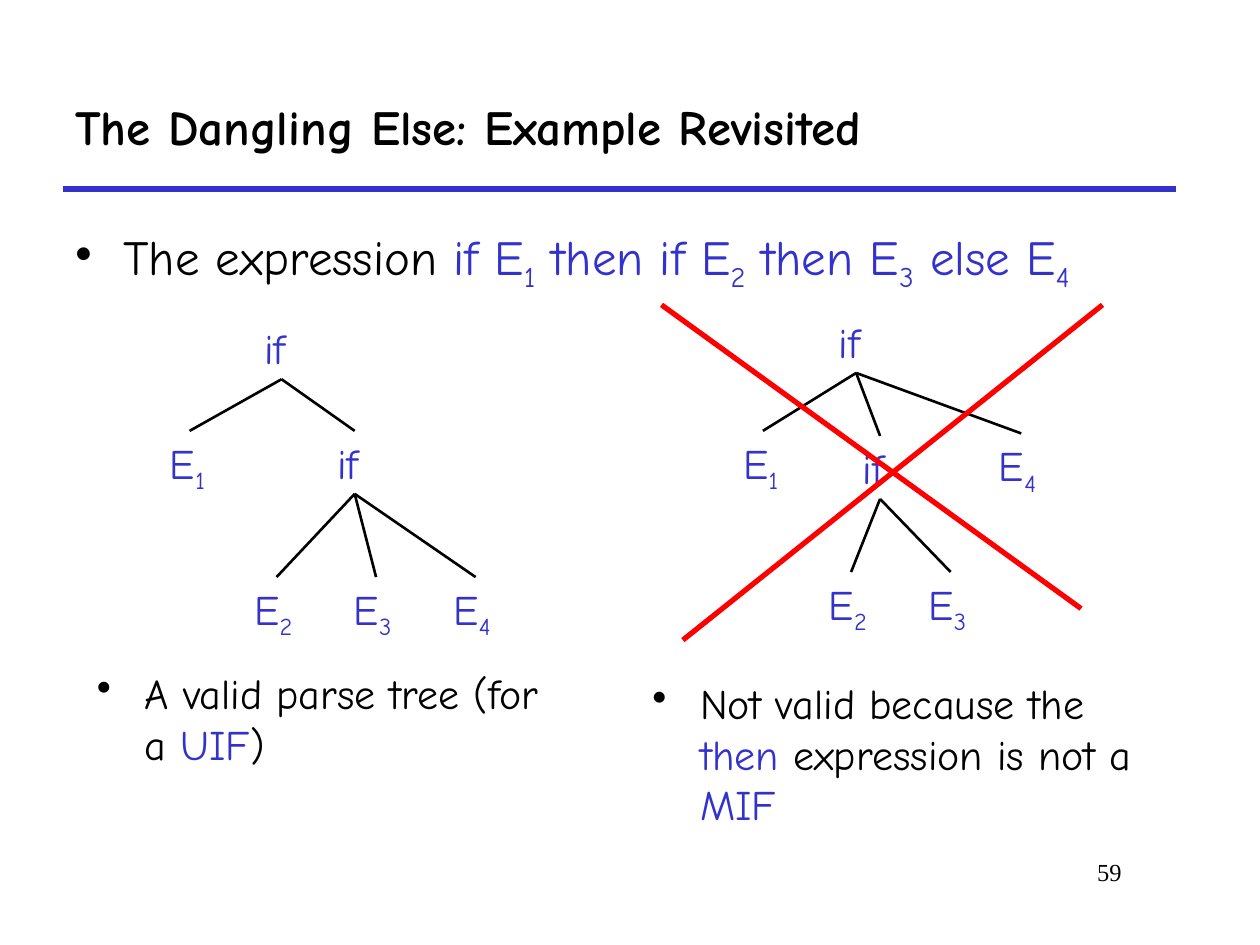
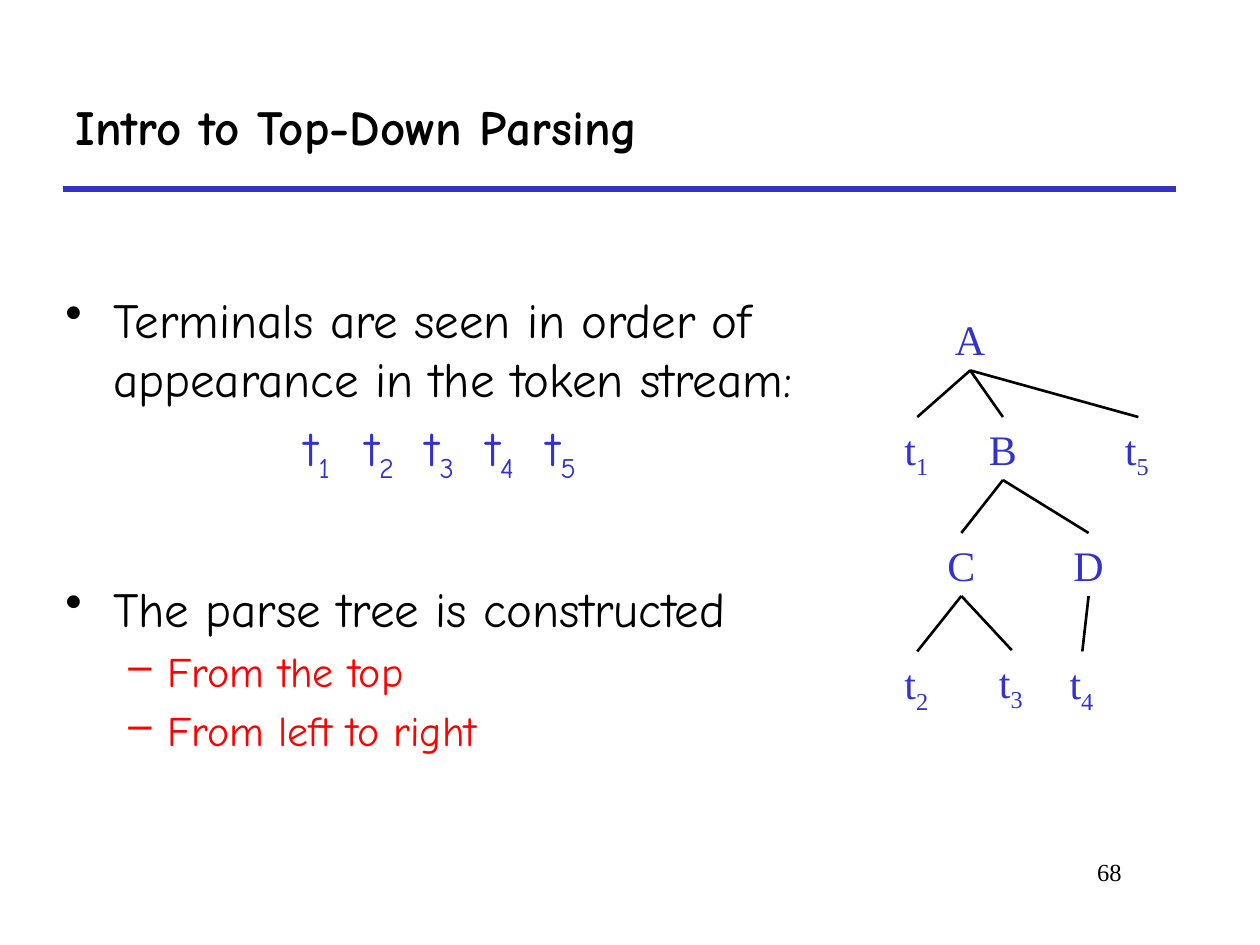
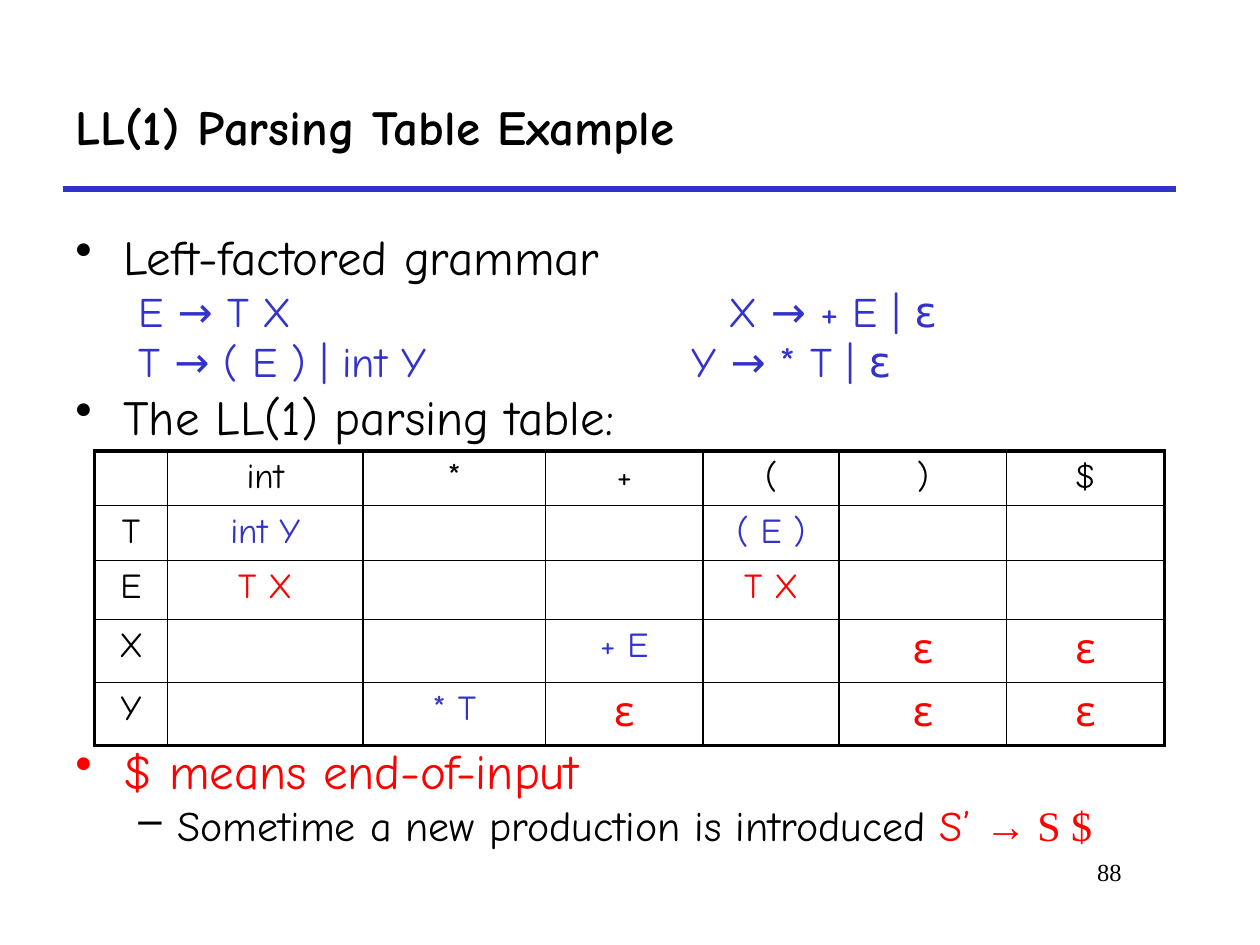
import pptx
import pptx.dml.color
import pptx.enum.shapes
import pptx.enum.text
import pptx.oxml
import pptx.oxml.ns
import pptx.util
from pptx.util import Inches

RGBColor = pptx.dml.color.RGBColor
BLACK = RGBColor(0x00, 0x00, 0x00)
BLUE = RGBColor(0x33, 0x33, 0xCC)
RED = RGBColor(0xFF, 0x00, 0x00)
COMIC = "Comic Neue"
TIMES = "Times New Roman"
ALIGN = pptx.enum.text.PP_ALIGN
ANCHOR = pptx.enum.text.MSO_ANCHOR
NODE_HEIGHT = 0.5
EPSILON = "ε"


def add_child(parent, tag, **attrs):
    """Append a DrawingML element with the given attributes."""
    child = pptx.oxml.parse_xml(f"<a:{tag} {pptx.oxml.ns.nsdecls('a')}/>")
    for name, value in attrs.items():
        child.set(name, str(value))
    parent.append(child)
    return child


def add_text(p, text, size=28, color=BLACK, font=COMIC, bold=False):
    """Add formatted runs, lowering each character that follows an underscore."""
    first, *rest = text.split("_")
    pieces = [(first, False)]
    for piece in rest:
        pieces += [(piece[0], True), (piece[1:], False)]
    for piece, lowered in pieces:
        if piece:
            r = p.add_run()
            r.text = piece
            r.font.size = pptx.util.Pt(size)
            r.font.name = font
            r.font.bold = bold
            r.font.color.rgb = color
            if lowered:
                r._r.get_or_add_rPr().set("baseline", "-25000")


def add_box(slide, x, y, w, h, wrap=True):
    """Add an empty text box."""
    sp = slide.shapes.add_textbox(Inches(x), Inches(y), Inches(w), Inches(h))
    sp.text_frame.word_wrap = wrap
    return sp


def add_paragraph(tf, *runs, bullet=None, size=28, before=0, tabs=()):
    """Add a paragraph of (text, format) runs, with a hanging bullet or tab stops."""
    p = tf.paragraphs[0]
    if p.runs:
        p = tf.add_paragraph()
        p.space_before = pptx.util.Pt(before)
    pPr = p._p.get_or_add_pPr()
    if bullet:
        margin, hang = (0.38, 0.38) if bullet == "•" else (0.81, 0.31)
        pPr.set("marL", str(Inches(margin)))
        pPr.set("indent", str(-Inches(hang)))
        add_child(pPr, "buChar", char=bullet)
    if tabs:
        stops = add_child(pPr, "tabLst")
        for tab in tabs:
            add_child(stops, "tab", pos=Inches(tab), algn="l")
    for text, style in runs:
        add_text(p, text, size=size, **style)


def add_line(slide, x1, y1, x2, y2, color=BLACK, width=1.5):
    """Add a straight line without shadow."""
    line = slide.shapes.add_connector(
        pptx.enum.shapes.MSO_CONNECTOR.STRAIGHT,
        Inches(x1), Inches(y1), Inches(x2), Inches(y2))
    line.line.color.rgb = color
    line.line.width = pptx.util.Pt(width)
    add_child(line._element.spPr, "effectLst")
    return line


def add_tree(slide, node, font=COMIC):
    """Draw a (text, x, y, width, children) node and its subtrees; return its box."""
    text, x, y, w, *children = node
    sp = add_box(slide, x, y, w, NODE_HEIGHT, wrap=False)
    sp.text_frame.auto_size = pptx.enum.text.MSO_AUTO_SIZE.SHAPE_TO_FIT_TEXT
    add_text(sp.text_frame.paragraphs[0], text, size=24, color=BLUE, font=font)
    for child in children:
        child_sp = add_tree(slide, child, font)
        _, cx, cy, cw, *_ = child
        edge = add_line(slide, x + w / 2, y + NODE_HEIGHT, cx + cw / 2, cy)
        edge.begin_connect(sp, 2)
        edge.end_connect(child_sp, 0)
    return sp


def add_slide(prs, title, number):
    """Add a slide with its title, rule and page number."""
    slide = prs.slides.add_slide(prs.slide_layouts[6])
    add_line(slide, 0.5, 1.5, 9.33, 1.5, color=BLUE, width=3)
    tf = add_box(slide, 0.5, 0.5, 8.83, 1).text_frame
    tf.vertical_anchor = ANCHOR.MIDDLE
    add_text(tf.paragraphs[0], title, bold=True)
    p = add_box(slide, 7.58, 6.75, 1.42, 0.5).text_frame.paragraphs[0]
    p.alignment = ALIGN.RIGHT
    add_text(p, str(number), size=14, font=TIMES)
    return slide


def add_borders(cell, **widths):
    """Set black borders of the given widths on the sides L, R, T and B."""
    tcPr = cell._tc.get_or_add_tcPr()
    for side, width in widths.items():
        ln = add_child(tcPr, "ln" + side, w=pptx.util.Pt(width))
        add_child(add_child(ln, "solidFill"), "srgbClr", val=BLACK)


def add_parsing_table(slide, x, y, widths, heights, rows):
    """Add the parsing table with a thick frame and thin inner borders."""
    last_row, last_col = len(rows) - 1, len(widths) - 1
    table = slide.shapes.add_table(
        len(rows), len(widths), Inches(x), Inches(y),
        Inches(sum(widths)), Inches(sum(heights))).table
    table.first_row = table.horz_banding = False
    for col, width in zip(table.columns, widths):
        col.width = Inches(width)
    for row, height in zip(table.rows, heights):
        row.height = Inches(height)
    for i, row in enumerate(rows):
        for j, text in enumerate(row):
            cell = table.cell(i, j)
            edges = {"L": j == 0, "R": j == last_col, "T": i == 0, "B": i == last_row}
            add_borders(cell, **{s: 2.25 if outer else 1 for s, outer in edges.items()})
            cell.fill.background()
            if i == 0 or j == 0:
                color = BLACK
            else:
                color = RED if text == EPSILON or row[0] == "E" else BLUE
            p = cell.text_frame.paragraphs[0]
            p.alignment = ALIGN.CENTER
            add_text(p, text, size=24 if text == EPSILON else 20, color=color)


def build_dangling_else(prs):
    """Build the slide that compares two parse trees."""
    slide = add_slide(prs, "The Dangling Else: Example Revisited", 59)
    black, blue = {"color": BLACK}, {"color": BLUE}
    tf = add_box(slide, 0.5, 1.75, 9.08, 0.67).text_frame
    add_paragraph(tf, ("The expression ", black),
                  ("if E_1 then if E_2 then E_3 else E_4", blue), bullet="•")
    add_tree(slide, ("if", 2, 2.51, 0.47,
                     ("E_1", 1.25, 3.42, 0.51),
                     ("if", 2.58, 3.42, 0.47,
                      ("E_2", 1.92, 4.58, 0.55),
                      ("E_3", 2.71, 4.58, 0.55),
                      ("E_4", 3.5, 4.58, 0.55))))
    add_tree(slide, ("if", 6.56, 2.46, 0.47,
                     ("E_1", 5.8, 3.42, 0.51),
                     ("if", 6.75, 3.46, 0.47,
                      ("E_2", 6.48, 4.54, 0.55),
                      ("E_3", 7.27, 4.54, 0.55)),
                     ("E_4", 7.83, 3.44, 0.55)))
    tf = add_box(slide, 5.08, 5.33, 4.17, 1.25).text_frame
    add_paragraph(tf, ("Not valid because the ", black), ("then", blue),
                  (" expression is not a ", black), ("MIF", blue), bullet="•", size=24)
    tf = add_box(slide, 0.67, 5.25, 3.83, 1.17).text_frame
    add_paragraph(tf, ("A valid parse tree (for a ", black), ("UIF", blue),
                  (")", black), bullet="•", size=24)
    add_line(slide, 5.25, 2.42, 8.58, 4.83, color=RED, width=3)
    add_line(slide, 5.42, 5.08, 8.75, 2.42, color=RED, width=3)


def build_top_down(prs):
    """Build the slide that introduces top-down parsing."""
    slide = add_slide(prs, "Intro to Top-Down Parsing", 68)
    tf = add_box(slide, 0.42, 2.25, 6.25, 4.25).text_frame
    add_paragraph(tf, ("Terminals are seen in order of appearance in the token stream:", {}),
                  bullet="•")
    add_paragraph(tf, ("".join(f"\tt_{n}" for n in range(1, 6)), {"color": BLUE}),
                  before=5.6, tabs=[1.9 + 0.48 * n for n in range(5)])
    add_paragraph(tf, ("The parse tree is constructed", {}), bullet="•", before=54)
    for text in ("From the top", "From left to right"):
        add_paragraph(tf, (text, {"color": RED}), bullet="–", size=24, before=4.8)
    add_tree(slide, ("A", 7.48, 2.44, 0.44,
                     ("t_1", 7.08, 3.31, 0.4),
                     ("B", 7.75, 3.31, 0.42,
                      ("C", 7.42, 4.23, 0.42,
                       ("t_2", 7.08, 5.17, 0.4),
                       ("t_3", 7.83, 5.16, 0.4)),
                      ("D", 8.42, 4.23, 0.44,
                       ("t_4", 8.39, 5.17, 0.4))),
                     ("t_5", 8.83, 3.31, 0.41)), font=TIMES)


def build_parsing_table(prs):
    """Build the slide with the grammar and its parsing table."""
    slide = add_slide(prs, "LL(1) Parsing Table Example", 88)
    blue, red = {"color": BLUE}, {"color": RED}
    tf = add_box(slide, 0.5, 1.75, 9.08, 4.83).text_frame
    add_paragraph(tf, ("Left-factored grammar", {}), bullet="•")
    add_paragraph(tf, ("\tE → T X\tX → + E | ε", blue), size=24, tabs=(0.5, 5.18))
    add_paragraph(tf, ("\tT → ( E ) | int Y\tY → * T | ε", blue), size=24, tabs=(0.5, 4.89))
    add_paragraph(tf, ("The LL(1) parsing table:", {}), bullet="•")
    add_paragraph(tf, ("$ means end-of-input", red), bullet="•", before=168.6)
    add_paragraph(tf, ("Sometime a new production is introduced ", {}), ("S’ ", red),
                  ("→ S $", {"color": RED, "font": TIMES}), bullet="–", size=24)
    add_parsing_table(
        slide, 0.75, 3.58,
        widths=(0.58, 1.55, 1.45, 1.25, 1.08, 1.33, 1.25),
        heights=(0.43, 0.43, 0.47, 0.5, 0.5),
        rows=(("", "int", "*", "+", "(", ")", "$"),
              ("T", "int Y", "", "", "( E )", "", ""),
              ("E", "T X", "", "", "T X", "", ""),
              ("X", "", "", "+ E", "", EPSILON, EPSILON),
              ("Y", "", "* T", EPSILON, "", EPSILON, EPSILON)))


def main():
    """Build and save the presentation."""
    prs = pptx.Presentation()
    prs.slide_width, prs.slide_height = Inches(10), Inches(7.5)
    build_dangling_else(prs)
    build_top_down(prs)
    build_parsing_table(prs)
    prs.save("out.pptx")


if __name__ == "__main__":
    main()
